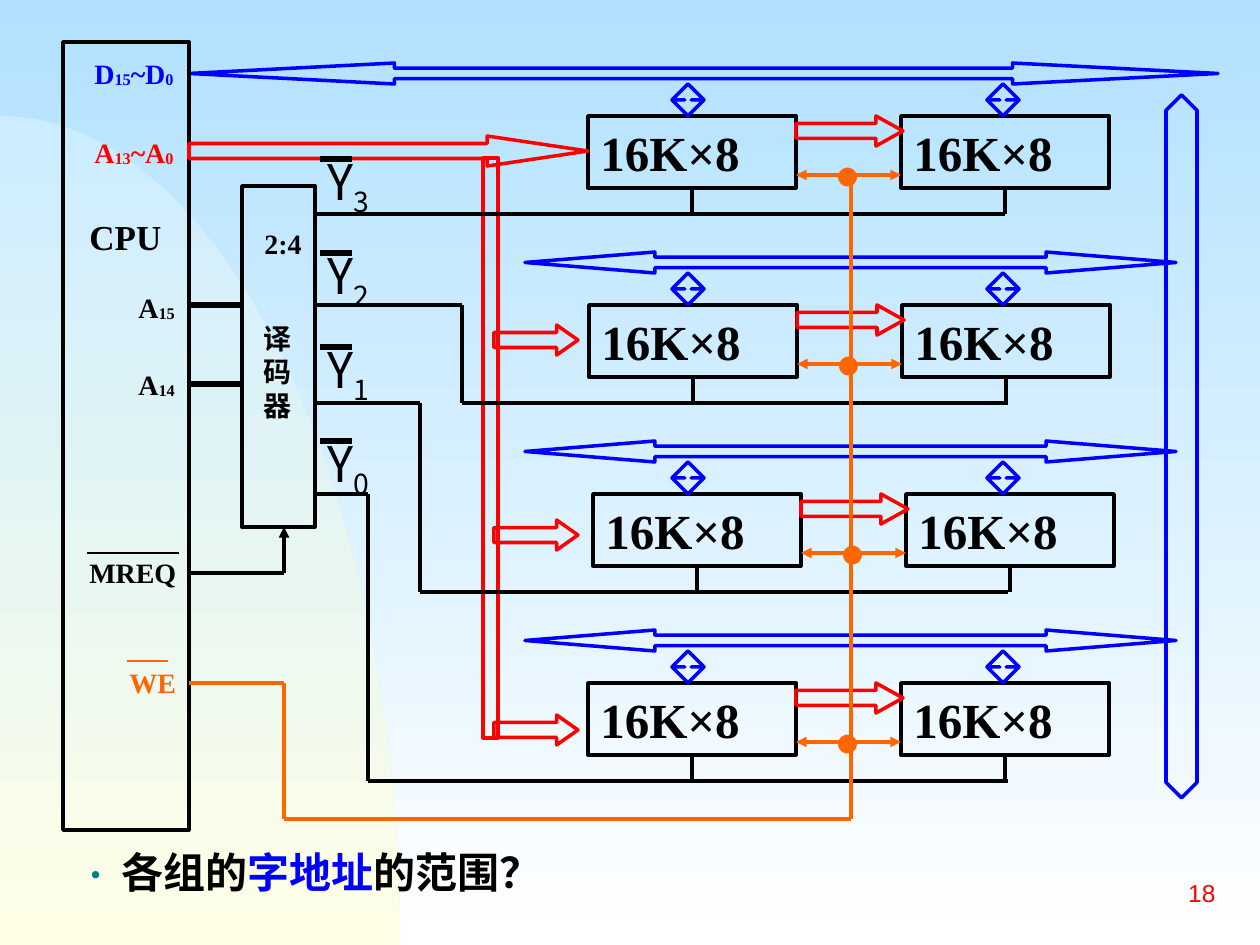
import math
from dataclasses import dataclass
from itertools import pairwise

from lxml import etree
from pptx import Presentation
from pptx.dml.color import RGBColor
from pptx.enum.shapes import MSO_CONNECTOR, MSO_SHAPE
from pptx.enum.text import MSO_ANCHOR, PP_ALIGN
from pptx.oxml.ns import qn
from pptx.util import Emu, Pt

STRAIGHT = MSO_CONNECTOR.STRAIGHT
RECT = MSO_SHAPE.RECTANGLE
RIGHT_ARROW = MSO_SHAPE.RIGHT_ARROW
LEFT_RIGHT = MSO_SHAPE.LEFT_RIGHT_ARROW
UP_DOWN = MSO_SHAPE.UP_DOWN_ARROW
MIDDLE = MSO_ANCHOR.MIDDLE
LEFT, RIGHT = PP_ALIGN.LEFT, PP_ALIGN.RIGHT
BOTTOM_SIDE = 2
WIDTH, HEIGHT = 1260, 945
ROW_PITCH = 189


@dataclass(frozen=True)
class Theme:
    black: str = "000000"
    data: str = "0000FF"
    address: str = "FF0000"
    enable: str = "FF6600"
    bullet: str = "008080"
    sky: tuple = ("B1E1FF", "FFFFFF")
    dome: tuple = ("CCECFF", "FFFFE7")
    serif: str = "Times New Roman"
    sans: str = "Arial"
    cjk: str = "Noto Sans CJK SC"
    dot: int = 12
    number: int = 14
    label: int = 16
    heading: int = 20
    question: int = 24
    chip: int = 28
    line: float = 2
    overline: float = 1.5
    thick: float = 3


THEME = Theme()


def px(length):
    return Emu(round(length * 914400 / 126))


def paint_gradient(fill, colors):
    fill.gradient()
    fill.gradient_angle = 270
    for stop, color in zip(fill.gradient_stops, colors):
        stop.color.rgb = RGBColor.from_string(color)


def style_run(span, size, color, font=THEME.serif, bold=True, baseline=0):
    span.font.size = Pt(size)
    span.font.bold = bold
    span.font.name = font
    span.font.color.rgb = RGBColor.from_string(color)
    properties = span._r.get_or_add_rPr()
    latin = properties.find(qn("a:latin"))
    east_asian = etree.Element(qn("a:ea"), typeface=THEME.cjk)
    latin.addnext(east_asian)
    if baseline:
        properties.set("baseline", str(baseline * 1000))


def add_label(page, box, text, size=THEME.label, color=THEME.black, wrap=False, **style):
    label = page.shapes.add_textbox(*map(px, box))
    frame = label.text_frame
    frame.word_wrap = wrap
    frame.text = text
    for para in frame.paragraphs:
        for span in para.runs:
            style_run(span, size, color, **style)
    return label


def add_subscripted(page, box, parts, drop, size=THEME.label, color=THEME.black, **style):
    """Every second part is a subscript lowered by drop percent."""
    label = page.shapes.add_textbox(*map(px, box))
    para = label.text_frame.paragraphs[0]
    for index, part in enumerate(parts):
        span = para.add_run()
        span.text = part
        style_run(span, size, color, baseline=-drop * (index % 2), **style)


def add_outline(page, kind, box, color, adjust=None):
    shape = page.shapes.add_shape(kind, *map(px, box))
    shape.shadow.inherit = False
    shape.fill.background()
    shape.line.color.rgb = RGBColor.from_string(color)
    shape.line.width = Pt(THEME.line)
    if adjust:
        shape.adjustments[0] = 0.5
        shape.adjustments[1] = adjust
    return shape


def add_line(page, start, end, color=THEME.black, width=THEME.line, arrows=()):
    line = page.shapes.add_connector(STRAIGHT, *map(px, (*start, *end)))
    line.line.color.rgb = RGBColor.from_string(color)
    line.line.width = Pt(width)
    for name in arrows:
        etree.SubElement(line.line._get_or_add_ln(), qn(f"a:{name}"), type="triangle")
    etree.SubElement(line._element.spPr, qn("a:effectLst"))
    return line


def add_wire(page, points, color=THEME.black):
    for start, end in pairwise(points):
        add_line(page, start, end, color)


def draw_backdrop(page):
    paint_gradient(page.background.fill, THEME.sky)
    radius_x, radius_y, steps = 400, 829, 60
    angles = [math.pi / 2 * step / steps for step in range(steps + 1)]
    arc = [(px(radius_x * math.sin(a)), px(HEIGHT - radius_y * math.cos(a))) for a in angles]
    builder = page.shapes.build_freeform(*arc[0], scale=1.0)
    builder.add_line_segments(arc[1:] + [(0, px(HEIGHT))], close=True)
    dome = builder.convert_to_shape()
    dome.shadow.inherit = False
    dome.line.fill.background()
    paint_gradient(dome.fill, THEME.dome)


def draw_bank(page, left, top):
    """A pair of memory chips with their address, enable and select links."""
    chip_width, chip_height, spacing = 208, 72, 313
    for x in (left, left + spacing):
        chip = add_outline(page, RECT, (x, top, chip_width, chip_height), THEME.black)
        frame = chip.text_frame
        frame.word_wrap = True
        frame.vertical_anchor = MIDDLE
        frame.text = "16K×8"
        frame.paragraphs[0].alignment = LEFT
        style_run(frame.paragraphs[0].runs[0], THEME.chip, THEME.black)
        center = x + chip_width // 2
        stub = add_line(page, (center, top + chip_height), (center, top + 98))
        stub.begin_connect(chip, BOTTOM_SIDE)
    inner = left + chip_width
    add_outline(page, RIGHT_ARROW, (inner, top, 107, 30), THEME.address, 0.9)
    add_line(page, (inner, top + 59), (left + spacing, top + 59), THEME.enable,
             arrows=("headEnd", "tailEnd"))
    add_label(page, (left + 237, top + 42, 43, 38), "●", THEME.dot, THEME.enable,
              font=THEME.cjk, bold=False)


def draw_data_bus(page, left, top, width, head):
    add_outline(page, LEFT_RIGHT, (left, top, width, 21), THEME.data, head)
    for x in (672, 987):
        add_outline(page, UP_DOWN, (x, top + 21, 32, 32), THEME.data, 0.2)


def draw_memory(page, top):
    for row, left in enumerate((588, 589, 593, 588)):
        draw_bank(page, left, top + row * ROW_PITCH)
    draw_data_bus(page, 189, top - 53, 1029, 9.79)
    for row in range(1, 4):
        draw_data_bus(page, 525, top - 53 + row * ROW_PITCH, 651, 6.19)
    add_outline(page, UP_DOWN, (1166, 95, 31, 703), THEME.data, 4.45)


def draw_address_bus(page):
    add_outline(page, RIGHT_ARROW, (189, 136, 399, 30), THEME.address, 3.36)
    for row in range(3):
        add_outline(page, RIGHT_ARROW, (494, 325 + row * 195, 84, 30), THEME.address, 0.71)
    add_outline(page, RECT, (483, 158, 15, 580), THEME.address)


def draw_cpu(page, left, top):
    add_outline(page, RECT, (left, top, 126, 788), THEME.black)
    for y, letter, high, color in ((8, "D", "15", THEME.data), (87, "A", "13", THEME.address)):
        add_subscripted(page, (left + 19, top + y, 105, 47),
                        (letter, high, f"~{letter}", "0"), 5, color=color)
    add_label(page, (left + 14, top + 167, 97, 55), "CPU", THEME.heading)
    for y, bit in ((242, "15"), (319, "14")):
        add_subscripted(page, (left + 63, top + y, 62, 47), ("A", bit), 5)
    add_label(page, (left + 14, top + 507, 112, 47), "MREQ")
    add_label(page, (left + 54, top + 617, 72, 47), "WE", color=THEME.enable)
    add_line(page, (left + 24, top + 511), (left + 116, top + 511), width=THEME.overline)
    add_line(page, (left + 64, top + 619), (left + 105, top + 619), THEME.enable, THEME.overline)


def draw_decoder(page, left, top):
    add_outline(page, RECT, (left, top, 73, 341), THEME.black)
    add_label(page, (left + 10, top + 34, 62, 47), "2:4")
    add_label(page, (left + 9, top + 129, 53, 147), "译\n码\n器")
    for row in range(4):
        y = top - 41 + row * 94
        add_subscripted(page, (left + 73, y, 84, 79), ("Y", str(3 - row)), 25,
                        THEME.chip, font=THEME.cjk, bold=False)
        add_line(page, (left + 78, y + 14), (left + 110, y + 14), width=THEME.thick)


def draw_wiring(page):
    for y in (305, 384):
        add_line(page, (189, y), (242, y), width=THEME.thick)
    add_line(page, (189, 573), (284, 573))
    add_line(page, (284, 573), (284, 527), arrows=("tailEnd",))
    add_line(page, (1005, 214), (315, 214))
    for row, (turn, outlet) in enumerate(((462, 305), (420, 403), (368, 494)), start=1):
        bus = 214 + row * ROW_PITCH
        add_wire(page, ((1008, bus), (turn, bus), (turn, outlet), (315, outlet)))
    add_wire(page, ((851, 175), (851, 819), (284, 819), (284, 683), (189, 683)), THEME.enable)


def draw_question(page, box):
    label = add_label(page, box, "• ", THEME.heading, THEME.bullet, wrap=True,
                      font=THEME.sans, bold=False)
    para = label.text_frame.paragraphs[0]
    for text, color in (("各组的", THEME.black), ("字地址", THEME.data), ("的范围？", THEME.black)):
        span = para.add_run()
        span.text = text
        style_run(span, THEME.question, color, font=THEME.cjk)


def draw_page_number(page, box):
    label = add_label(page, box, "18", THEME.number, THEME.address, font=THEME.sans, bold=False)
    label.text_frame.vertical_anchor = MIDDLE
    label.text_frame.paragraphs[0].alignment = RIGHT


def main():
    deck = Presentation()
    deck.slide_width, deck.slide_height = px(WIDTH), px(HEIGHT)
    page = deck.slides.add_slide(deck.slide_layouts[6])
    draw_backdrop(page)
    draw_memory(page, 116)
    draw_cpu(page, 63, 42)
    draw_address_bus(page)
    draw_decoder(page, 242, 186)
    draw_wiring(page)
    draw_question(page, (66, 840, 469, 63))
    draw_page_number(page, (966, 861, 262, 63))
    deck.save("out.pptx")


if __name__ == "__main__":
    main()
